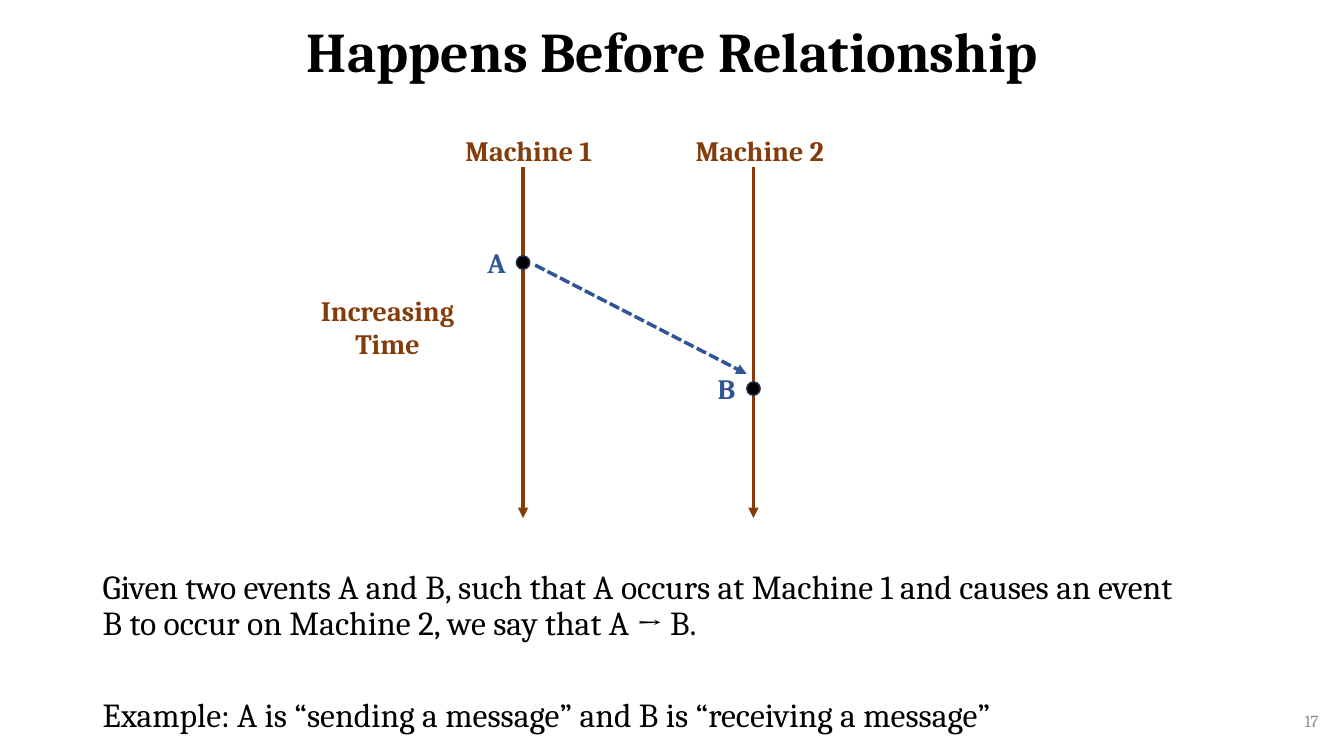
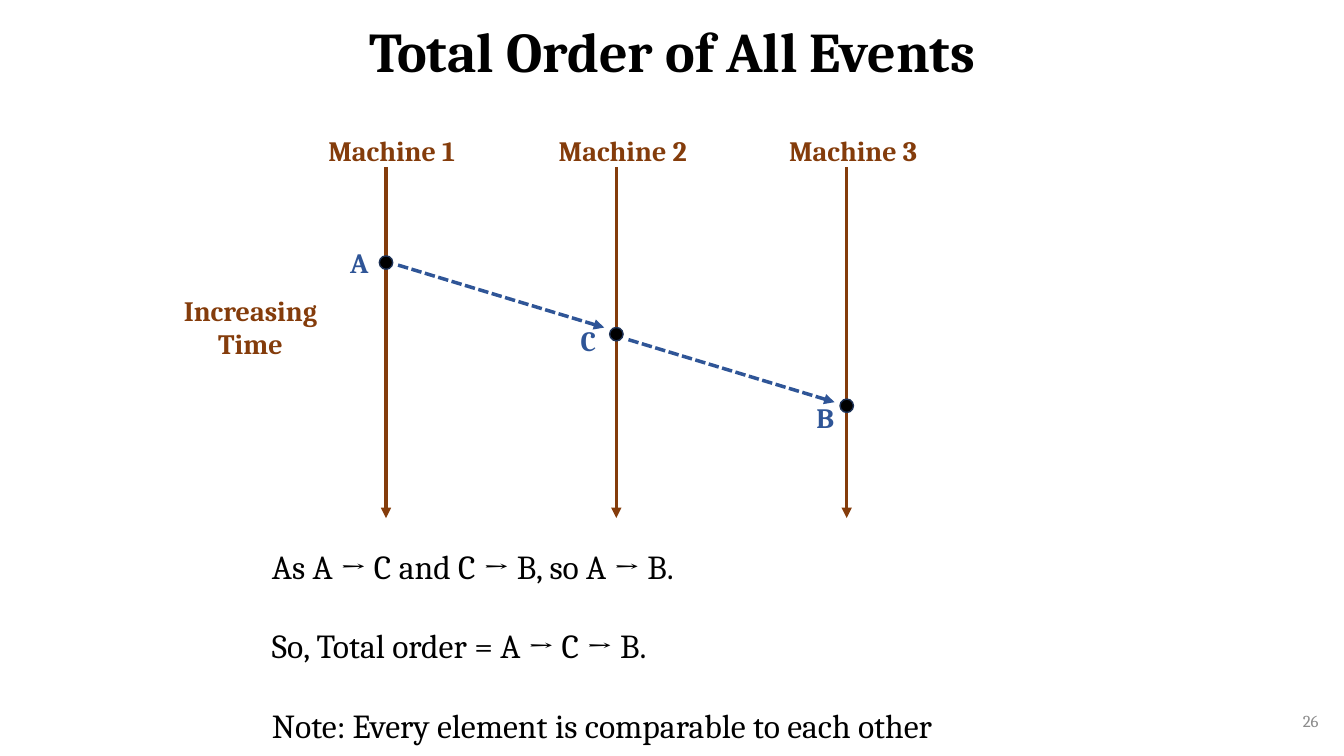
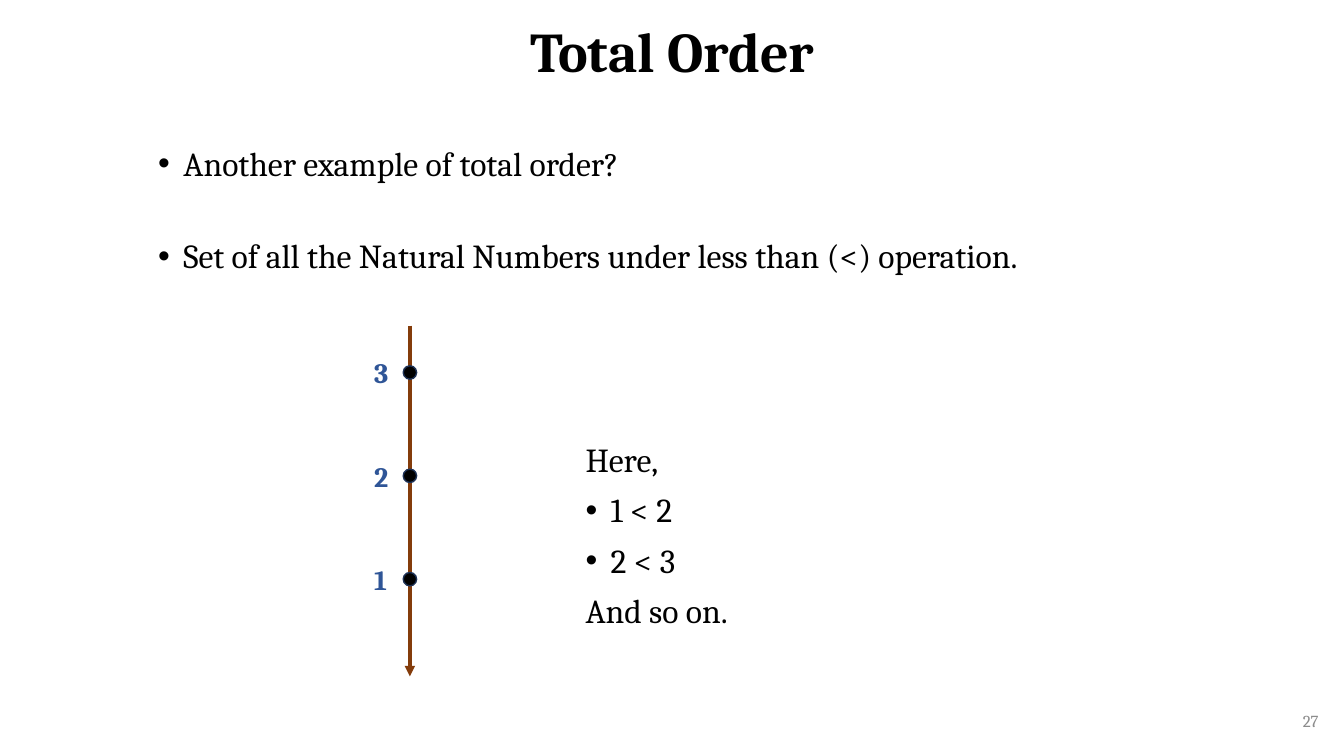
import pptx
import pptx.dml.color
import pptx.enum.dml
import pptx.enum.shapes
import pptx.enum.text
import pptx.oxml.ns
import pptx.util
import lxml.etree

# Shared style
HUES = {"text": "000000", "lane": "843C0B", "event": "2F5597",
        "edge": "1E3256", "page": "8C8C8C"}
FONT = "Cambria"
ALIGN = pptx.enum.text.PP_ALIGN
ANCHOR = pptx.enum.text.MSO_ANCHOR
DASH = pptx.enum.dml.MSO_LINE.SQUARE_DOT
OVAL = pptx.enum.shapes.MSO_SHAPE.OVAL
STRAIGHT = pptx.enum.shapes.MSO_CONNECTOR.STRAIGHT

# Grid of 100 columns by 100 rows over the slide
WIDE, HIGH = pptx.util.Inches(13.33), pptx.util.Inches(7.5)
PITCH = 17.14      # columns between machine lanes
TOP, RUN = 22.13, 46.4   # first row and length of a lane
LABEL = 5.87       # rows in a one-line label


def col(n):
    return round(WIDE * n / 100)


def row(n):
    return round(HIGH * n / 100)


def hue(name):
    return pptx.dml.color.RGBColor.from_string(HUES[name])


def child(node, tag, **attrs):
    return lxml.etree.SubElement(node, pptx.oxml.ns.qn(tag), **attrs)


# Text
def bullet(para):
    props = para._p.get_or_add_pPr()
    props.set("marL", str(pptx.util.Inches(0.25)))
    props.set("indent", str(-pptx.util.Inches(0.25)))
    child(props, "a:buFont", typeface="Arial")
    child(props, "a:buChar", char="•")


def write(shape, text, size=20, color="text", bold=False, align=ALIGN.LEFT,
          anchor=ANCHOR.TOP, pace=1.0, gap=0):
    """Fill a shape with one paragraph per line; a leading • makes a bullet."""
    frame = shape.text_frame
    frame.word_wrap = True
    frame.vertical_anchor = anchor
    for i, line in enumerate(text.split("\n")):
        para = frame.add_paragraph() if i else frame.paragraphs[0]
        if line.startswith("• "):
            bullet(para)
        para.text = line.removeprefix("• ")
        para.alignment = align
        para.line_spacing = pace
        para.space_before = pptx.util.Pt(gap if i else 0)
        font = para.font
        font.name, font.size, font.bold = FONT, pptx.util.Pt(size), bold
        font.color.rgb = hue(color)


def box(slide, x, y, w, h, text, **style):
    shape = slide.shapes.add_textbox(col(x), row(y), col(w), row(h))
    write(shape, text, **style)


def body(slide, x, y, w, h, text, gap):
    box(slide, x, y, w, h, text, size=24, pace=0.9, gap=gap)


# Diagram parts
def arrow(slide, start, end, color, dash=None):
    link = slide.shapes.add_connector(
        STRAIGHT, col(start[0]), row(start[1]), col(end[0]), row(end[1]))
    link.line.color.rgb = hue(color)
    link.line.width = pptx.util.Pt(2.5)
    if dash:
        link.line.dash_style = dash
    props = link._element.spPr
    child(props.find(pptx.oxml.ns.qn("a:ln")), "a:tailEnd", type="triangle")
    child(props, "a:effectLst")


def lane(slide, x, y=TOP):
    arrow(slide, (x, y), (x, y + RUN), "lane")


def send(slide, start, end):
    arrow(slide, start, end, "event", DASH)


def event(slide, x, y, name, right=0, down=0):
    """Dot centred on a lane, its name at the left, moved right or down."""
    side = col(1)
    dot = slide.shapes.add_shape(
        OVAL, col(x) - side // 2, row(y) - side // 2, side, side)
    dot.shadow.inherit = False
    dot.fill.solid()
    dot.fill.fore_color.rgb = hue("text")
    dot.line.color.rgb = hue("edge")
    dot.line.width = pptx.util.Pt(1)
    box(slide, x - 3.4 + right, y - 2.87 + down, 3, LABEL, name,
        color="event", bold=True)


def lanes(slide, left, count):
    """Draw the time label and the machine lanes; return the lane columns."""
    box(slide, left - 16.05, 38.13, 11.93, 10.27, "Increasing\nTime",
        color="lane", bold=True, align=ALIGN.CENTER)
    spots = [left + i * PITCH for i in range(count)]
    for i, x in enumerate(spots, 1):
        lane(slide, x)
        box(slide, x - 5.03, 17.07, 11.4, LABEL, f"Machine {i}",
            color="lane", bold=True)
    return spots


# Slides
def start(deck, title, page):
    slide = deck.slides.add_slide(deck.slide_layouts[5])
    head = slide.shapes.title
    head.left, head.top = col(6.9), 0
    head.width, head.height = col(86.25), row(14.4)
    write(head, title, size=40, bold=True, align=ALIGN.CENTER,
          anchor=ANCHOR.MIDDLE, pace=0.9)
    box(slide, 76.35, 92.67, 22.5, 5.33, page, size=12, color="page",
        align=ALIGN.RIGHT, anchor=ANCHOR.MIDDLE)
    return slide


def before(deck):
    slide = start(deck, "Happens Before Relationship", "17")
    one, two = lanes(slide, 38.92, 2)
    event(slide, one, 34.73, "A")
    event(slide, two, 51.4, "B")
    send(slide, (one + 0.9, 35.07), (two - 0.5, 49.47))
    body(slide, 6.9, 74.8, 82.8, 23.2,
         "Given two events A and B, such that A occurs at Machine 1 and causes "
         "an event B to occur on Machine 2, we say that A → B.\n"
         "Example: A is “sending a message” and B is “receiving a message”",
         gap=40)


def events(deck):
    slide = start(deck, "Total Order of All Events", "26")
    one, two, three = lanes(slide, 28.72, 3)
    event(slide, one, 34.73, "A")
    event(slide, two, 44.2, "C", down=0.8)
    event(slide, three, 53.67, "B", right=0.4, down=1.47)
    send(slide, (one + 0.9, 35.07), (two - 0.9, 43.33))
    send(slide, (two + 0.9, 44.93), (three - 0.9, 53.2))
    body(slide, 19.5, 72.13, 59.85, 23.2,
         "As A → C and C → B, so A → B.\n"
         "So, Total order = A → C → B.\n"
         "Note: Every element is comparable to each other", gap=31)


def order(deck):
    slide = start(deck, "Total Order", "27")
    body(slide, 11.03, 18.8, 77.1, 23.2,
         "• Another example of total order?\n"
         "• Set of all the Natural Numbers under less than (<) operation.",
         gap=40)
    axis = 30.5
    lane(slide, axis, 43.07)
    for i, name in enumerate("321"):
        event(slide, axis, 49.27 + i * 13.67, name)
    body(slide, 42.83, 58, 41.03, 29.5,
         "Here,\n• 1 < 2\n• 2 < 3\nAnd so on.", gap=10)


def main():
    deck = pptx.Presentation()
    deck.slide_width, deck.slide_height = WIDE, HIGH
    before(deck)
    events(deck)
    order(deck)
    deck.save("out.pptx")


if __name__ == "__main__":
    main()
